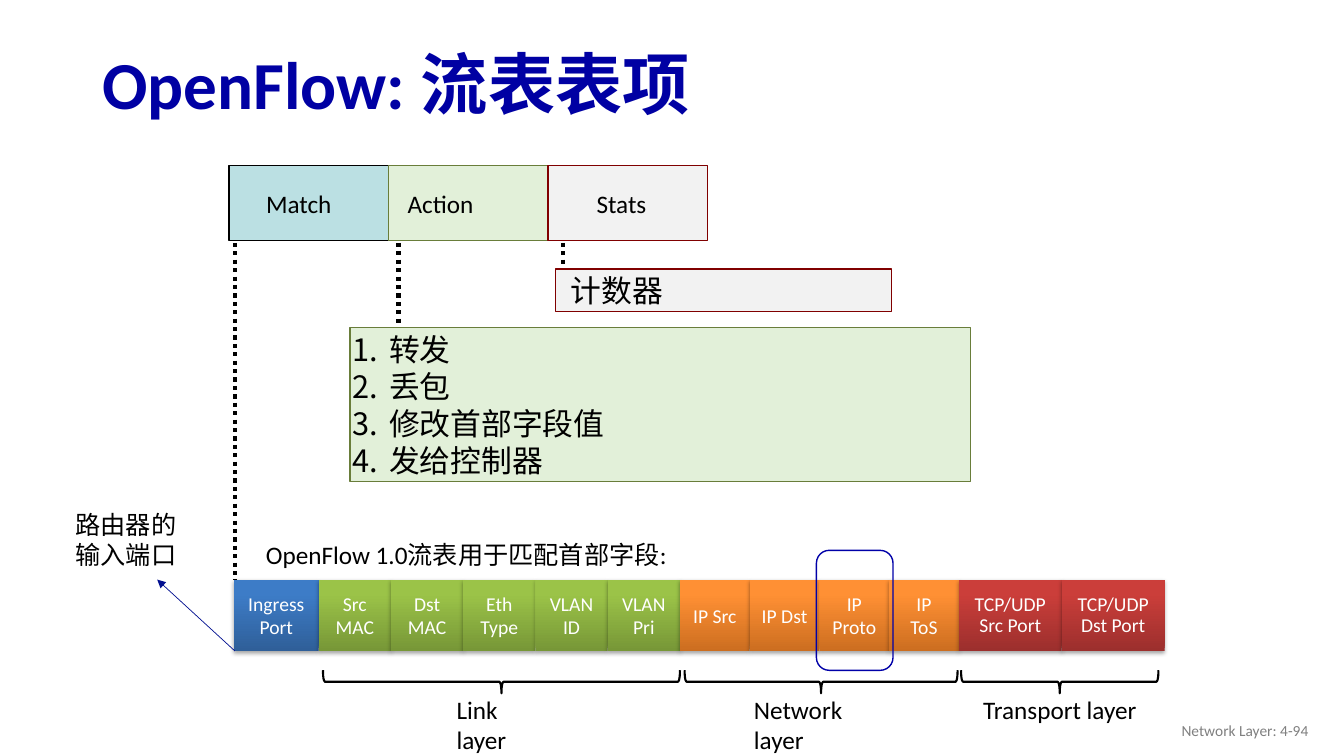
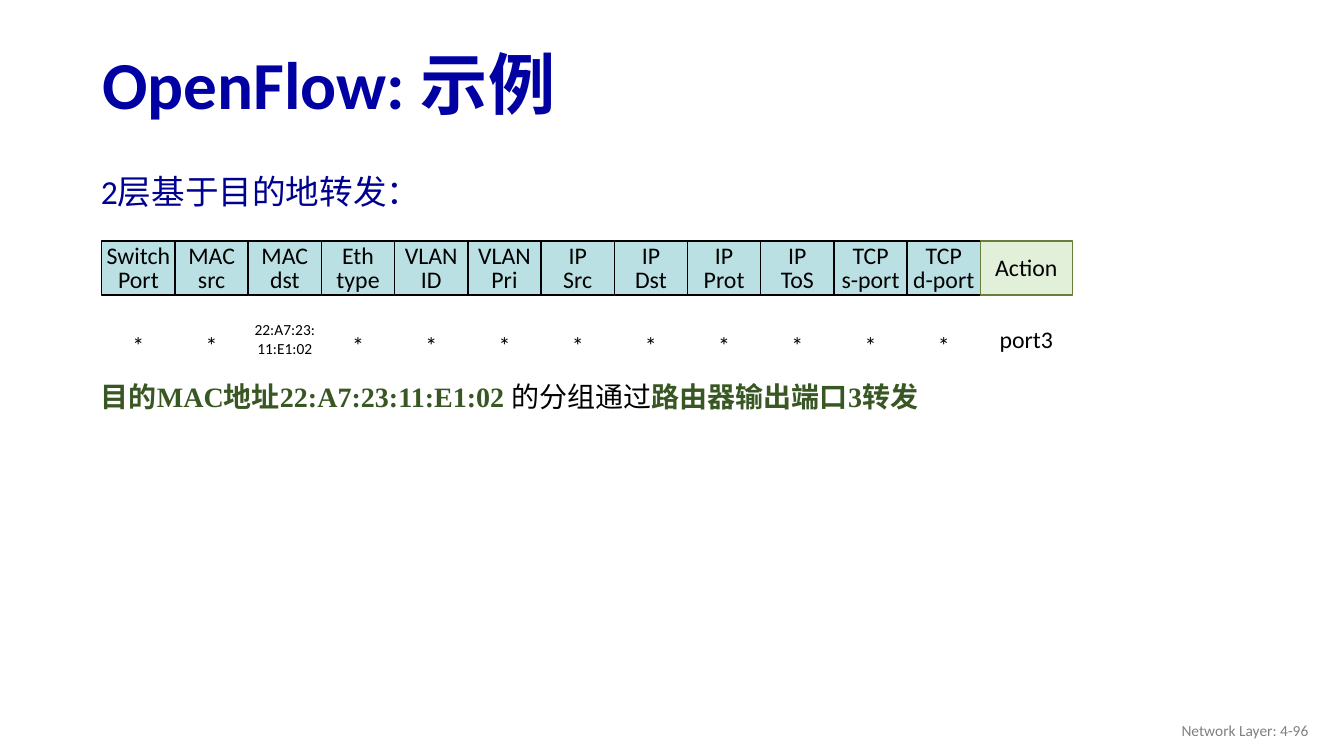
from lxml.etree import SubElement
from pptx import Presentation
from pptx.dml.color import RGBColor
from pptx.enum.dml import MSO_LINE
from pptx.enum.shapes import MSO_CONNECTOR, MSO_SHAPE as Preset
from pptx.enum.text import MSO_ANCHOR as Anchor, PP_ALIGN as Align
from pptx.oxml.ns import qn
from pptx.util import Pt

COLORS = {
    "title": "0000A3", "heading": "000090", "ink": "000000", "white": "FFFFFF",
    "footer": "808080", "match": "BBE0E3", "action": "E2F0D9", "action_line": "697D3A",
    "stats": "F2F2F2", "stats_line": "800000", "emphasis": "385723",
    "highlight": "0000A8", "pointer": "010F90",
    "port_dark": "2F5F99", "port_light": "3D7CC7",
    "link_dark": "779737", "link_light": "9BC348",
    "network_dark": "CC6E20", "network_light": "FF9034",
    "transport_dark": "9C2F2D", "transport_light": "CB3E3A",
}


def color(name):
    return RGBColor.from_string(COLORS[name])


class FlowDeck:
    """Hold the deck style and draw elements on the current page."""

    def __init__(self):
        self.deck = Presentation()
        self.deck.slide_width, self.deck.slide_height = Pt(960), Pt(540)
        self.page = None

    def new_page(self, title, number):
        self.page = self.deck.slides.add_slide(self.deck.slide_layouts[6])
        self.text((66, 27.5, 828, 70.5), title, size=48, ink="title", bold=True,
                  spacing=0.9, anchor=Anchor.MIDDLE)
        self.text((725.8, 507.6, 216, 28.8), f"Network Layer: {number}", size=11,
                  ink="footer", align=Align.RIGHT, anchor=Anchor.MIDDLE)

    def set_text(self, shape, content, size=18, ink="ink", bold=False, face="Calibri",
                 align=Align.LEFT, anchor=Anchor.TOP, spacing=None,
                 insets=(7.2, 3.6, 7.2, 3.6), numbered=False):
        frame = shape.text_frame
        left, top, right, bottom = map(Pt, insets)
        layout = {"word_wrap": True, "vertical_anchor": anchor, "margin_left": left,
                  "margin_top": top, "margin_right": right, "margin_bottom": bottom}
        for name, value in layout.items():
            setattr(frame, name, value)
        lines = content.split("\n") if isinstance(content, str) else [content]
        for index, line in enumerate(lines):
            para = frame.add_paragraph() if index else frame.paragraphs[0]
            para.alignment = align
            para.line_spacing = spacing
            if numbered:
                self.number(para)
            for words, run_ink, run_bold in [(line, ink, bold)] if isinstance(line, str) else line:
                span = para.add_run()
                span.text = words
                for name, value in {"size": Pt(size), "name": face, "bold": run_bold}.items():
                    setattr(span.font, name, value)
                span.font.color.rgb = color(run_ink)

    def number(self, para):
        properties = para._p.get_or_add_pPr()
        properties.set("marL", str(Pt(28)))
        properties.set("indent", str(-Pt(26)))
        SubElement(properties, qn("a:buFont"), typeface="Calibri")
        SubElement(properties, qn("a:buAutoNum"), type="arabicPeriod")

    def text(self, area, content, **style):
        box = self.page.shapes.add_textbox(*map(Pt, area))
        self.set_text(box, content, **style)

    def shape(self, area, fill=None, line=None, preset=Preset.RECTANGLE, weight=1):
        shape = self.page.shapes.add_shape(preset, *map(Pt, area))
        shape.shadow.inherit = False
        if fill:
            shape.fill.solid()
            shape.fill.fore_color.rgb = color(fill)
        else:
            shape.fill.background()
        if line:
            shape.line.color.rgb = color(line)
            shape.line.width = Pt(weight)
        else:
            shape.line.fill.background()
        return shape

    def panel(self, area, content, fill, line, **style):
        self.set_text(self.shape(area, fill, line), content, anchor=Anchor.MIDDLE, **style)

    def header_field(self, area, content, family, spacing=None):
        field = self.shape(area)
        field.fill.gradient()
        field.fill.gradient_angle = 90
        for stop, tone, position in zip(field.fill.gradient_stops, ("dark", "light"), (0, 0.8)):
            stop.color.rgb = color(f"{family}_{tone}")
            stop.position = position
        effects = field._element.spPr.find(qn("a:effectLst"))
        shadow = SubElement(effects, qn("a:outerShdw"), blurRad=str(Pt(3.1)),
                            dist=str(Pt(1.8)), dir="5400000", rotWithShape="0")
        tint = SubElement(shadow, qn("a:srgbClr"), val=COLORS["ink"])
        SubElement(tint, qn("a:alpha"), val="35000")
        self.set_text(field, content, size=14, ink="white", align=Align.CENTER,
                      anchor=Anchor.MIDDLE, spacing=spacing)

    def brace(self, center, middle, span):
        depth = 16.5
        area = (center - depth / 2, middle - span / 2, depth, span)
        self.shape(area, line="ink", preset=Preset.LEFT_BRACE, weight=1.5).rotation = 270

    def line(self, start, end, ink="ink", weight=3, dotted=True, arrow=False):
        line = self.page.shapes.add_connector(MSO_CONNECTOR.STRAIGHT, *map(Pt, start + end))
        line.line.color.rgb = color(ink)
        line.line.width = Pt(weight)
        properties = line._element.spPr
        if dotted:
            line.line.dash_style = MSO_LINE.ROUND_DOT
        if arrow:
            SubElement(properties.find(qn("a:ln")), qn("a:tailEnd"), type="triangle")
        SubElement(properties, qn("a:effectLst"))


def draw_entry(deck):
    deck.new_page("OpenFlow: 流表表项", "4-94")
    parts = [("Match", "match", "ink", 26.6), ("Action", "action", "action_line", 13.7),
             ("Stats", "stats", "stats_line", 34.6)]
    for index, (name, fill, line, indent) in enumerate(parts):
        deck.panel((163.5 + 114 * index, 118, 114, 54), name, fill, line,
                   insets=(indent, 0, 0, 0))
    deck.panel((250, 234, 443.5, 110), "转发\n丢包\n修改首部字段值\n发给控制器",
               "action", "action_line", size=22, insets=(0, 0, 0, 0), numbered=True)
    deck.panel((397, 192.2, 239.8, 30.2), "计数器", "stats", "stats_line", size=22,
               insets=(10.8, 0, 0, 0))
    for x, bottom in [(284.7, 233), (402.2, 191.5), (167.8, 414)]:
        deck.line((x, 173.5), (x, bottom))
    deck.text((170, 381.6, 326, 28.8), "OpenFlow 1.0流表用于匹配首部字段:", align=Align.CENTER)

    families = [
        ("port", 60.5, None, ["Ingress Port"]),
        ("link", 51.6, None, ["Src MAC", "Dst MAC", "Eth Type", "VLAN\nID", "VLAN\nPri"]),
        ("network", 49.8, None, ["IP Src", "IP Dst", "IP Proto", "IP\nToS"]),
        ("transport", 73.5, Pt(14.8), ["TCP/UDP Src Port", "TCP/UDP Dst Port"]),
    ]
    left = 167.2
    for family, width, spacing, names in families:
        for name in names:
            deck.header_field((left, 414, width, 51), name, family, spacing)
            left += width

    layers = [("Link layer", 358.2, 255, 319, 75.6, Align.LEFT),
              ("Network layer", 586.5, 195, 531.4, 106.6, Align.LEFT),
              ("Transport layer", 757, 141, 664.6, 185, Align.CENTER)]
    for name, center, span, label_left, label_width, align in layers:
        deck.brace(center, 487, span)
        deck.text((label_left, 492.5, label_width, 28.8), name, align=align)
    deck.shape((583.2, 393.1, 54.7, 85.7), line="highlight", preset=Preset.ROUNDED_RECTANGLE)
    deck.line((167.8, 465), (112.3, 414), ink="pointer", weight=0.5, dotted=False, arrow=True)
    deck.text((46.8, 360, 93, 51), "路由器的输入端口")


def draw_example(deck):
    deck.new_page("OpenFlow: 示例", "4-96")
    middle = {"insets": (0, 0, 0, 0), "anchor": Anchor.MIDDLE}
    deck.text((72, 122.4, 224.6, 28.8), "2层基于目的地转发：", size=24, ink="heading", **middle)
    deck.text((72, 270.7, 736, 24.5),
              [("目的MAC地址22:A7:23:11:E1:02 ", "emphasis", True), ("的分组通过", "ink", False),
               ("路由器输出端口3转发", "emphasis", True)],
              size=20, face="Times New Roman", **middle)
    names = ["Switch\nPort", "MAC\nsrc", "MAC\ndst", "Eth\ntype", "VLAN\nID", "VLAN\nPri",
             "IP\nSrc", "IP\nDst", "IP\nProt", "IP\nToS", "TCP\ns-port", "TCP\nd-port", "Action"]
    values = {"MAC\ndst": ("22:A7:23:\n11:E1:02", 11), "Action": ("port3", 17)}
    pitch = 52.3
    for index, name in enumerate(names):
        left = 72.7 + pitch * index
        last = name == "Action"
        width = 65.7 if last else pitch
        fill, line = ("action", "action_line") if last else ("match", "ink")
        deck.panel((left, 172.2, width, 38.4), name, fill, line, size=17, spacing=0.85,
                   align=Align.CENTER, insets=(0, 1.4, 0, 0))
        value, size = values.get(name, ("*", 17))
        top = 229.7 if name in values else 234
        deck.text((left, top, width, 25), value, size=size, align=Align.CENTER, **middle)


def main():
    flow = FlowDeck()
    draw_entry(flow)
    draw_example(flow)
    flow.deck.save("out.pptx")


if __name__ == "__main__":
    main()
